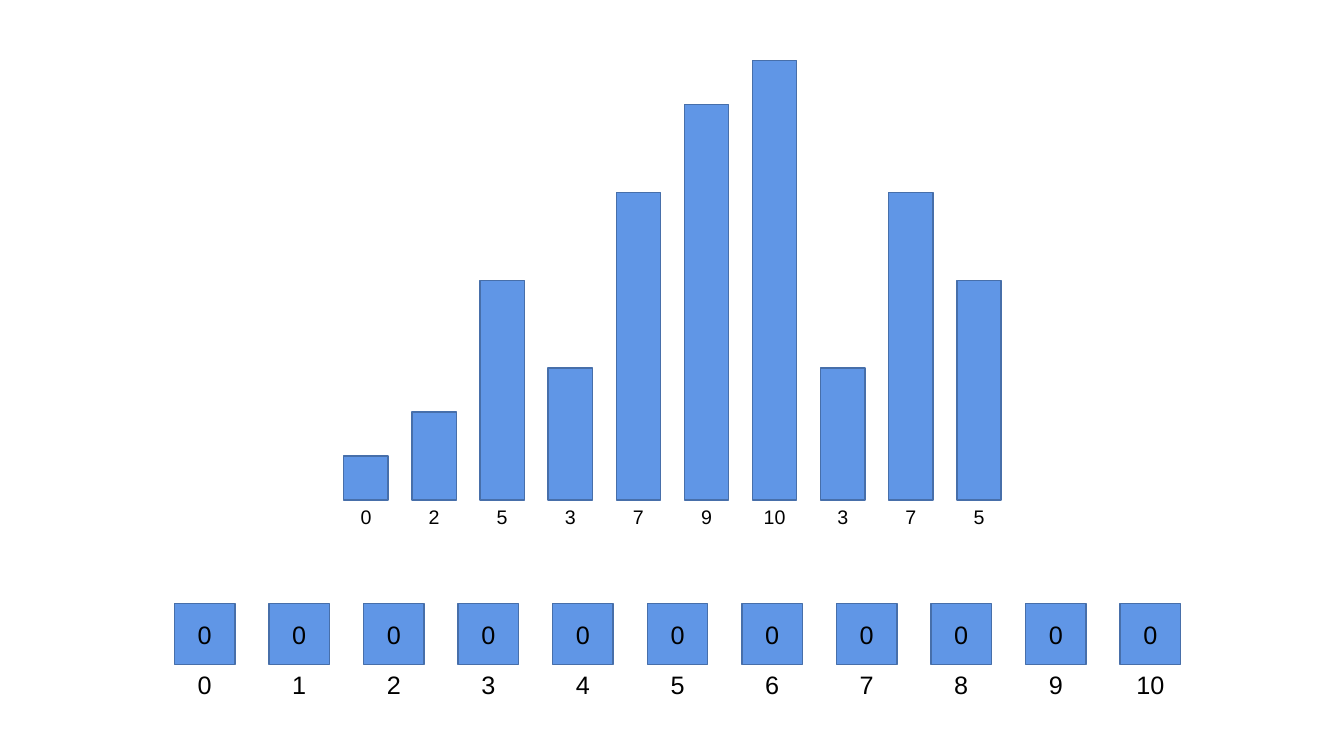
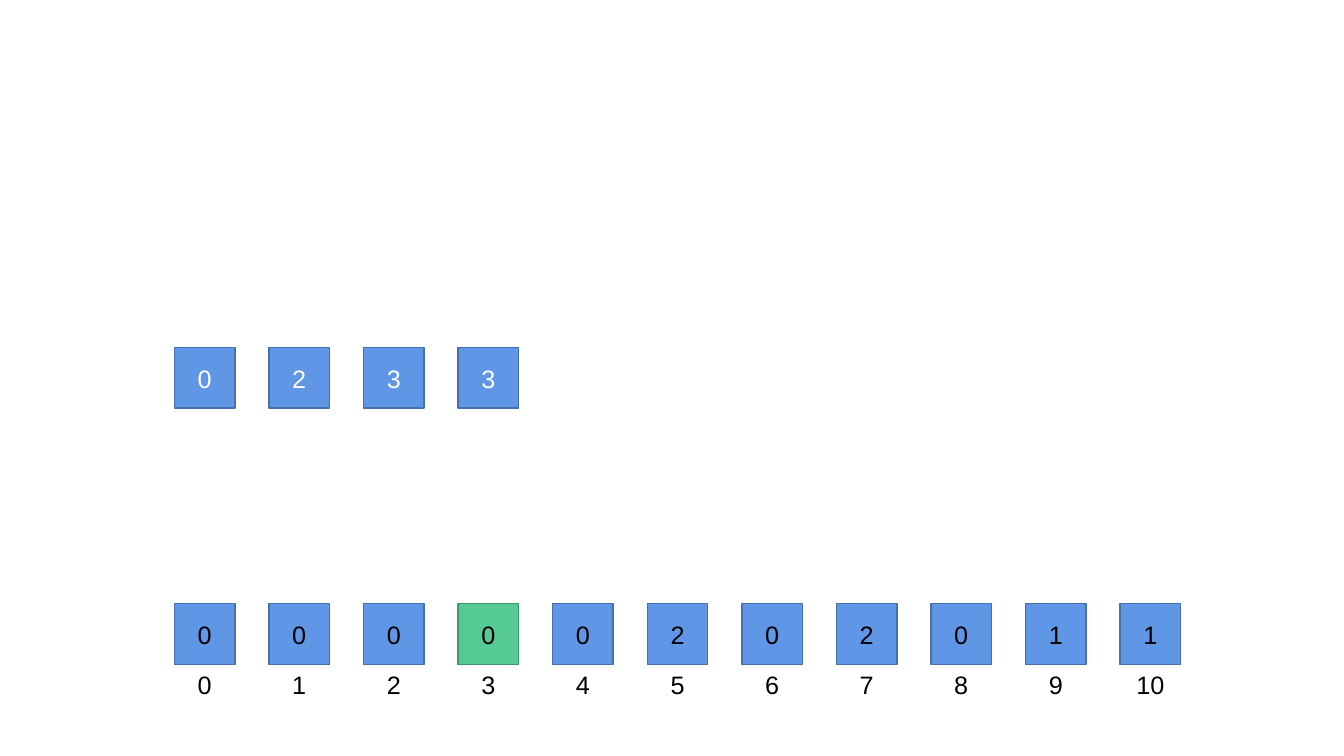
from pptx import Presentation
from pptx import util as u
from pptx.dml.color import RGBColor
from pptx.enum import shapes, text

HUES = {
    "blue": "6096E6", "blue edge": "476FAA",
    "green": "56CA95", "green edge": "40956E",
    "ink": "000000", "white": "FFFFFF",
}
FONT = "Arial"


def hue(name):
    return RGBColor.from_string(HUES[name])


class Grid:
    """Equal columns, placed by the left edges of the first and last one."""

    def __init__(self, first, last, count, size):
        self.first, self.size = first, size
        self.step = (last - first) / (count - 1)

    def left(self, col):
        return self.first + col * self.step


class Deck:
    bars = Grid(3.41, 9.49, 10, 0.44)
    cells = Grid(1.73, 11.11, 11, 0.6)
    base, tall = 4.96, 4.36    # foot of the bars, height of a bar of ten
    tally, result = 5.99, 3.45  # tops of the two rows of cells

    def __init__(self):
        self.prs = Presentation()
        self.prs.slide_width = u.Inches(13.33)
        self.prs.slide_height = u.Inches(7.5)

    def add(self):
        self.slide = self.prs.slides.add_slide(self.prs.slide_layouts[6])

    def letter(self, shape, words, size, ink):
        """Set the text of a shape as one centred line."""
        frame = shape.text_frame
        frame.word_wrap = True
        frame.margin_left = frame.margin_right = 0
        para = frame.paragraphs[0]
        para.text = str(words)
        para.alignment = text.PP_ALIGN.CENTER
        para.font.name, para.font.size = FONT, u.Pt(size)
        para.font.color.rgb = hue(ink)

    def rect(self, grid, col, top, height, tone="blue"):
        box = self.slide.shapes.add_shape(
            shapes.MSO_SHAPE.RECTANGLE, u.Inches(grid.left(col)),
            u.Inches(top), u.Inches(grid.size), u.Inches(height))
        box.shadow.inherit = False
        box.fill.solid()
        box.fill.fore_color.rgb = hue(tone)
        box.line.color.rgb = hue(tone + " edge")
        box.line.width = u.Pt(1)
        return box

    def label(self, grid, col, top, words, size):
        box = self.slide.shapes.add_textbox(
            u.Inches(grid.left(col)), u.Inches(top),
            u.Inches(grid.size), u.Inches(0.4))
        self.letter(box, words, size, "ink")

    def cell(self, col, top, value, ink, tone="blue"):
        box = self.rect(self.cells, col, top, self.cells.size, tone)
        box.text_frame.vertical_anchor = text.MSO_ANCHOR.MIDDLE
        self.letter(box, value, 18, ink)

    def plot(self, values):
        """Draw one bar per value; a zero still gets a bar one unit high."""
        for col, value in enumerate(values):
            height = max(value, 1) / 10 * self.tall
            self.rect(self.bars, col, self.base - height, height)
            self.label(self.bars, col, self.base, value, 14)

    def count(self, values, mark=None):
        """Draw the indexed row of counts, with the marked cell in green."""
        for col, value in enumerate(values):
            tone = "green" if col == mark else "blue"
            self.cell(col, self.tally, value, "ink", tone)
            self.label(self.cells, col, self.tally + self.cells.size, col, 18)

    def output(self, values):
        for col, value in enumerate(values):
            self.cell(col, self.result, value, "white")


def main():
    deck = Deck()

    deck.add()
    deck.plot([0, 2, 5, 3, 7, 9, 10, 3, 7, 5])
    deck.count([0] * 11)

    deck.add()
    deck.count([0, 0, 0, 0, 0, 2, 0, 2, 0, 1, 1], mark=3)
    deck.output([0, 2, 3, 3])

    deck.prs.save("out.pptx")


if __name__ == "__main__":
    main()
